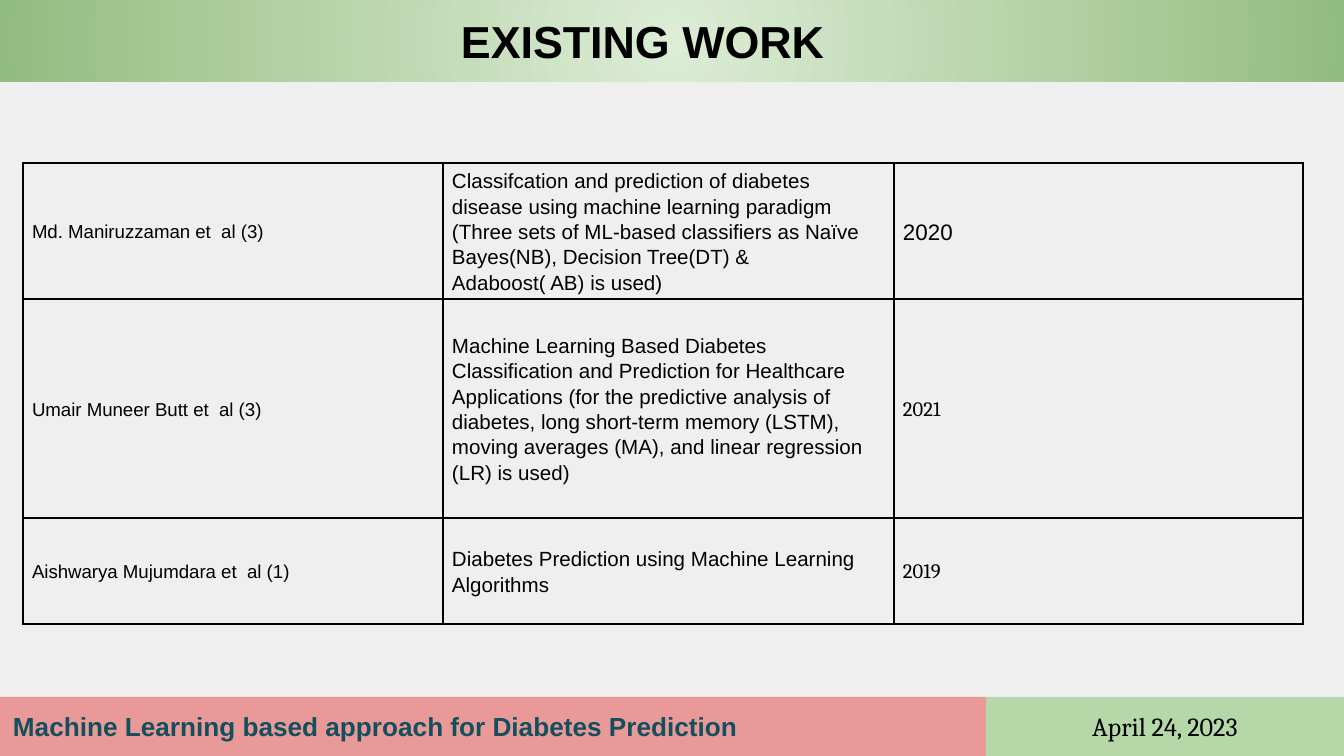
import pptx
import pptx.dml.color
import pptx.enum.shapes
import pptx.enum.text
import pptx.oxml
import pptx.oxml.ns
import pptx.util

PX = 914400 / 134.4
SLIDE_W, SLIDE_H = 1344, 756
INSET = 13

BACKGROUND = "EFEFEF"
BLACK = "000000"
TITLE_GRADIENT = ("DCECD5", "93BC81")

# text, box (left, top, width, height), fill, left inset, font (name, size, colour, bold), centred
BANDS = [
    ("EXISTING WORK", (0, 0, 1344, 82), TITLE_GRADIENT, 461,
     ("Arial", 24, BLACK, True), False),
    ("Machine Learning based approach for Diabetes Prediction", (0, 697, 986, 59),
     "EA9999", INSET, ("Arial", 14, "134F5C", True), False),
    ("April 24, 2023", (986, 697, 358, 59), "B6D7A8", INSET,
     ("Cambria", 14, BLACK, False), True),
]

TABLE_LEFT, TABLE_TOP = 23, 163
COLUMN_WIDTHS = [420, 451, 409]
ROW_HEIGHTS = [136, 219, 106]
STUDIES = [
    ("Md. Maniruzzaman et  al (3)",
     "Classifcation and prediction of diabetes disease using machine learning paradigm "
     "(Three sets of ML-based classifiers as Naïve Bayes(NB), Decision Tree(DT) & "
     "Adaboost( AB) is used)",
     "2020"),
    ("Umair Muneer Butt et  al (3)",
     "Machine Learning Based Diabetes Classification and Prediction for Healthcare "
     "Applications (for the predictive analysis of diabetes, long short-term memory (LSTM), "
     "moving averages (MA), and linear regression (LR) is used)",
     "2021"),
    ("Aishwarya Mujumdara et  al (1)",
     "Diabetes Prediction using Machine Learning Algorithms",
     "2019"),
]
AUTHOR_FONT, TOPIC_FONT = ("Arial", 10), ("Arial", 11)
YEAR_FONTS = [("Arial", 12), ("Cambria", 11), ("Cambria", 11)]
SPACE_AFTER = [(0.5, 1.6, 1.6), (0.6, 0.6, 0.6), (0.6, 1.8, 1.8)]


def px(n):
    return pptx.util.Emu(round(n * PX))


def rgb(color):
    return pptx.dml.color.RGBColor.from_string(color)


def set_font(p, name, size, color=BLACK, bold=False):
    p.font.name = name
    p.font.size = pptx.util.Pt(size)
    p.font.color.rgb = rgb(color)
    p.font.bold = bold


def fill_solid(fill, color):
    fill.solid()
    fill.fore_color.rgb = rgb(color)


def fill_radial(sp, colors):
    """Fill a shape with a gradient running from its centre outwards."""
    sp.fill.gradient()
    for stop, position, color in zip(sp.fill.gradient_stops, (0, 1), colors):
        stop.position = position
        stop.color.rgb = rgb(color)
    lin = sp._element.spPr.find(".//" + pptx.oxml.ns.qn("a:lin"))
    lin.getparent().replace(lin, pptx.oxml.parse_xml(
        f'<a:path {pptx.oxml.ns.nsdecls("a")} path="circle">'
        '<a:fillToRect l="50000" t="50000" r="50000" b="50000"/></a:path>'))


def add_band(s, text, box, fill, left_inset, font, centred):
    sp = s.shapes.add_shape(pptx.enum.shapes.MSO_SHAPE.RECTANGLE, *map(px, box))
    sp.shadow.inherit = False
    sp.line.fill.background()
    if isinstance(fill, tuple):
        fill_radial(sp, fill)
    else:
        fill_solid(sp.fill, fill)
    tf = sp.text_frame
    tf.word_wrap = True
    tf.vertical_anchor = pptx.enum.text.MSO_ANCHOR.MIDDLE
    tf.margin_left = px(left_inset)
    tf.margin_top = tf.margin_right = tf.margin_bottom = px(INSET)
    p = tf.paragraphs[0]
    p.text = text
    align = pptx.enum.text.PP_ALIGN
    p.alignment = align.CENTER if centred else align.LEFT
    set_font(p, *font)


def add_borders(cell):
    tc_pr = cell._tc.get_or_add_tcPr()
    for i, side in enumerate(("lnL", "lnR", "lnT", "lnB")):
        tc_pr.insert(i, pptx.oxml.parse_xml(
            f'<a:{side} {pptx.oxml.ns.nsdecls("a")} w="12700"><a:solidFill>'
            f'<a:srgbClr val="{BLACK}"/></a:solidFill></a:{side}>'))


def fill_cell(cell, text, font, space_after):
    cell.fill.background()
    add_borders(cell)
    cell.vertical_anchor = pptx.enum.text.MSO_ANCHOR.MIDDLE
    cell.margin_left = cell.margin_right = px(9)
    cell.margin_top = cell.margin_bottom = 0
    p = cell.text_frame.paragraphs[0]
    p.text = text
    p.line_spacing = 1.11
    p.space_after = pptx.util.Pt(space_after)
    set_font(p, *font)


def add_studies(s):
    table = s.shapes.add_table(
        len(STUDIES), len(COLUMN_WIDTHS), px(TABLE_LEFT), px(TABLE_TOP),
        px(sum(COLUMN_WIDTHS)), px(sum(ROW_HEIGHTS))).table
    table.first_row = table.horz_banding = False
    for column, width in zip(table.columns, COLUMN_WIDTHS):
        column.width = px(width)
    for i, (study, year_font) in enumerate(zip(STUDIES, YEAR_FONTS)):
        table.rows[i].height = px(ROW_HEIGHTS[i])
        fonts = (AUTHOR_FONT, TOPIC_FONT, year_font)
        for j, (text, font) in enumerate(zip(study, fonts)):
            fill_cell(table.cell(i, j), text, font, SPACE_AFTER[i][j])


def main():
    prs = pptx.Presentation()
    prs.slide_width, prs.slide_height = px(SLIDE_W), px(SLIDE_H)
    s = prs.slides.add_slide(prs.slide_layouts[6])
    fill_solid(s.background.fill, BACKGROUND)
    for band in BANDS:
        add_band(s, *band)
    add_studies(s)
    prs.save("out.pptx")


if __name__ == "__main__":
    main()
